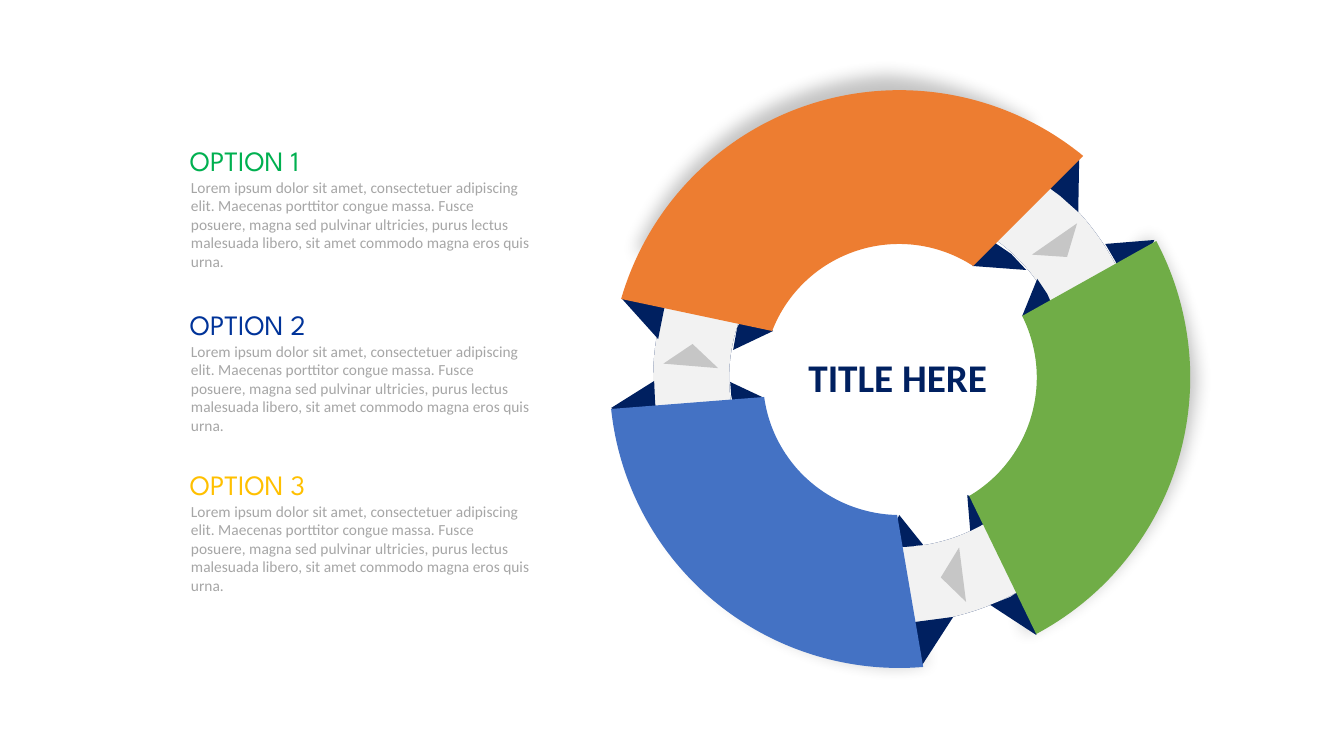
from math import atan2, cos, hypot, pi, sin, tan

from lxml import etree
from pptx import Presentation
from pptx.dml.color import RGBColor
from pptx.enum.shapes import MSO_SHAPE
from pptx.enum.text import MSO_ANCHOR, MSO_AUTO_SIZE, PP_ALIGN
from pptx.oxml.ns import qn
from pptx.util import Inches, Pt

PX = 914400 / 100.8

NAVY = RGBColor(0x00, 0x20, 0x60)
GREEN = RGBColor(0x70, 0xAD, 0x47)
ORANGE = RGBColor(0xED, 0x7D, 0x31)
BLUE = RGBColor(0x44, 0x72, 0xC4)
PALE = RGBColor(0xF2, 0xF2, 0xF2)
GRAY = RGBColor(0x80, 0x80, 0x80)
BODY_GRAY = RGBColor(0xA6, 0xA6, 0xA6)
BLACK = RGBColor(0, 0, 0)

TITLE = "TITLE HERE"
LOREM = (
    "Lorem ipsum dolor sit amet, consectetuer adipiscing elit. Maecenas porttitor "
    "congue massa. Fusce posuere, magna sed pulvinar ultricies, purus lectus "
    "malesuada libero, sit amet commodo magna eros quis urna."
)
OPTIONS = [  # heading, colour, top
    ("OPTION 1", RGBColor(0x00, 0xB0, 0x50), 139),
    ("OPTION 2", RGBColor(0x00, 0x33, 0x99), 303),
    ("OPTION 3", RGBColor(0xFF, 0xC0, 0x00), 463),
]

# Each band: centre, outer start, outer end, inner start, inner end
SHADOWS = [
    ((890, 397), (954, 677), (607, 389), (754, 417), (906, 542)),
    ((917, 386), (1152, 201), (1010, 662), (981, 510), (1041, 307)),
    ((885, 347), (607, 266), (1069, 123), (959, 233), (758, 298)),
]
SEGMENTS = [  # colour, band, folds
    (GREEN, ((899, 378), (1156, 241), (1036, 634), (969, 496), (1022, 316)), [
        [(1154, 240), (1132, 293), (1115, 261), (1105, 244)],
        [(1037, 279), (1047, 294), (1055, 312), (1022, 316)],
        [(967, 495), (1003, 511), (980, 526), (970, 531)],
        [(1041, 577), (1036, 635), (990, 605), (1010, 597)],
    ]),
    (ORANGE, ((899, 380), (621, 299), (1083, 156), (973, 266), (772, 331)), [
        [(1079, 153), (1078, 212), (1060, 196), (1033, 176)],
        [(989, 239), (1011, 254), (1026, 270), (972, 266)],
        [(673, 285), (664, 309), (658, 339), (622, 299)],
        [(746, 310), (773, 331), (733, 350), (737, 328)],
    ]),
    (BLUE, ((899, 378), (923, 667), (611, 409), (764, 397), (897, 515)), [
        [(654, 381), (655, 403), (660, 438), (611, 408)],
        [(730, 382), (764, 398), (736, 420), (731, 395)],
        [(899, 515), (923, 545), (905, 547), (886, 546)],
        [(953, 617), (922, 665), (896, 623), (915, 622)],
    ]),
]
RING = (653, 133, 490, 490)
ARROWS = [  # left, top, rotation
    (1033, 237, 145.2),
    (924, 565, 262.8),
    (664, 344, 4.7),
]

prs = Presentation()
prs.slide_width, prs.slide_height = Inches(13.33), Inches(7.5)
slide = prs.slides.add_slide(prs.slide_layouts[5])
shapes = slide.shapes


def emu(*lengths):
    return [round(length * PX) for length in lengths]


def paint(shape, color, alpha=None, soft_edge=None):
    """Flat fill without line or shadow; alpha in percent, soft edge in points."""
    shape.shadow.inherit = False
    shape.line.fill.background()
    shape.fill.solid()
    shape.fill.fore_color.rgb = color
    properties = shape._element.spPr
    if alpha:
        tint = properties.find(".//" + qn("a:srgbClr"))
        etree.SubElement(tint, qn("a:alpha"), val=str(alpha * 1000))
    if soft_edge:
        effects = properties.find(qn("a:effectLst"))
        etree.SubElement(effects, qn("a:softEdge"), rad=str(Pt(soft_edge)))


def add_outline(points, color, **look):
    first, *others = [emu(*point) for point in points]
    builder = shapes.build_freeform(*first, scale=1.0)
    builder.add_line_segments(others, close=True)
    outline = builder.convert_to_shape()
    paint(outline, color, **look)
    return outline


def arc(center, start, end, direction, pieces=4):
    """Bezier points after start, three a piece; direction 1 is clockwise."""
    (x1, y1), (x2, y2) = [(x - center[0], y - center[1]) for x, y in (start, end)]
    angle, radius = atan2(y1, x1), hypot(x1, y1)
    sweep = direction * ((direction * (atan2(y2, x2) - angle)) % (2 * pi))
    turn, growth = sweep / pieces, (hypot(x2, y2) - radius) / pieces
    pull = 4 / 3 * tan(turn / 4)

    def place(step, lean):
        a, r = angle + turn * step, radius + growth * step
        return (center[0] + r * (cos(a) - lean * sin(a)),
                center[1] + r * (sin(a) + lean * cos(a)))

    for step in range(pieces):
        yield from (place(step, pull), place(step + 1, -pull), place(step + 1, 0))


def add_band(center, outer_start, outer_end, inner_start, inner_end, color, **look):
    """Ring segment: its outline is made of curves of three points each."""
    band = add_outline(
        [outer_start, *arc(center, outer_start, outer_end, 1),
         outer_end, inner_start, inner_start,
         *arc(center, inner_start, inner_end, -1)], color, **look)
    lines = band._element.findall(".//" + qn("a:lnTo"))
    for curve, control, finish in zip(lines[::3], lines[1::3], lines[2::3]):
        curve.tag = qn("a:cubicBezTo")
        for line in (control, finish):
            curve.append(line[0])
            line.getparent().remove(line)


def write(holder, text, size, color, font="Calibri", bold=False, align=PP_ALIGN.LEFT):
    frame = holder.text_frame
    frame.word_wrap = True
    frame.auto_size = MSO_AUTO_SIZE.NONE
    frame.vertical_anchor = MSO_ANCHOR.TOP
    frame.text = text
    paragraph = frame.paragraphs[0]
    paragraph.alignment = align
    style = paragraph.runs[0].font
    style.name, style.size, style.bold = font, Pt(size), bold
    style.color.rgb = color


for shadow in SHADOWS:
    add_band(*shadow, BLACK, alpha=24, soft_edge=12.5)

for ring_color in (NAVY, PALE):
    ring = shapes.add_shape(MSO_SHAPE.DONUT, *emu(*RING))
    ring.adjustments[0] = 0.155
    paint(ring, ring_color)

for left, top, rotation in ARROWS:
    arrow = shapes.add_shape(MSO_SHAPE.ISOSCELES_TRIANGLE, *emu(left, top, 55, 22))
    arrow.rotation = rotation
    paint(arrow, GRAY, alpha=38)

for segment_color, segment, folds in SEGMENTS:
    for fold in folds:
        add_outline(fold, NAVY)
    add_band(*segment, segment_color)

title = shapes.title
title.left, title.top, title.width, title.height = emu(775, 348, 245, 57)
write(title, TITLE, 28, NAVY, bold=True, align=PP_ALIGN.CENTER)

for heading, heading_color, top in OPTIONS:
    write(shapes.add_textbox(*emu(180, top, 373, 44)), heading, 20, heading_color,
          font="League Spartan")
    write(shapes.add_textbox(*emu(181, top + 34, 360, 122)), LOREM, 11, BODY_GRAY)

prs.save("out.pptx")
